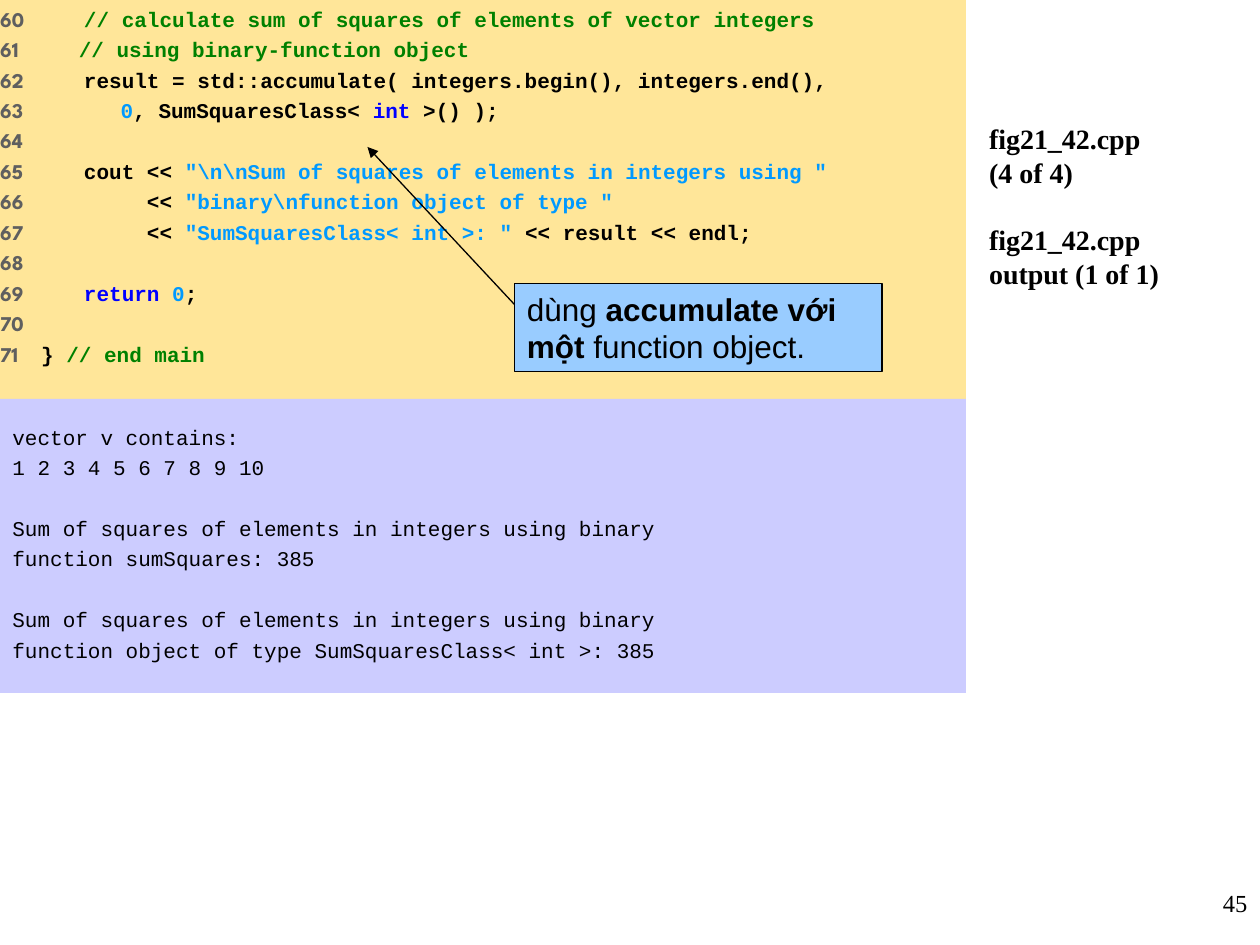
from dataclasses import dataclass

from lxml import etree
from pptx import Presentation
from pptx import util as u
from pptx.dml import color
from pptx.enum import shapes, text
from pptx.oxml import ns


@dataclass(frozen=True)
class Theme:
    """Colours, fonts and type sizes of the slide."""
    black: str = "000000"
    number: str = "5F5F5F"
    comment: str = "008000"
    literal: str = "0099FF"
    keyword: str = "0000FF"
    code_fill: str = "FFE699"
    output_fill: str = "CCCCFF"
    callout_fill: str = "99CCFF"
    mono: str = "Courier New"
    number_font: str = "League Spartan"
    serif: str = "Times New Roman"
    sans: str = "Arial"
    code_size: float = 12
    page_size: float = 14
    title_size: float = 16
    callout_size: float = 18
    leading: float = 1.2
    code_gap: float = 3
    line_width: float = 0.75


THEME = Theme()
PANEL_WIDTH = 552
FIRST_NUMBER = 60
CODE_LINES = [
    (48, [("comment", "// calculate sum of squares of elements of vector integers")]),
    (45, [("comment", "// using binary-function object")]),
    (48, [("black", "result = std::accumulate( integers.begin(), integers.end(),")]),
    (69, [("literal", "0"), ("black", ", SumSquaresClass< "),
          ("keyword", "int"), ("black", " >() );")]),
    (48, []),
    (48, [("black", "cout << "),
          ("literal", '"\\n\\nSum of squares of elements in integers using "')]),
    (84, [("black", "<< "), ("literal", '"binary\\nfunction object of type "')]),
    (84, [("black", "<< "), ("literal", '"SumSquaresClass< int >: "'),
          ("black", " << result << endl;")]),
    (48, []),
    (48, [("keyword", "return "), ("literal", "0"), ("black", ";")]),
    (48, []),
    (23.5, [("black", "} "), ("comment", "// end main")]),
]
OUTPUT_BLOCKS = [
    ["vector v contains:", "1 2 3 4 5 6 7 8 9 10"],
    ["Sum of squares of elements in integers using binary",
     "function sumSquares: 385"],
    ["Sum of squares of elements in integers using binary",
     "function object of type SumSquaresClass< int >: 385"],
]
TITLE_BLOCKS = ["fig21_42.cpp\v(4 of 4)", "fig21_42.cpp\voutput (1 of 1)"]


def rgb(value):
    """Turn a hex string into a colour."""
    return color.RGBColor.from_string(value)


def set_frame(frame, insets=(7.2, 3.6, 7.2, 3.6)):
    """Give a text frame top anchoring, wrapping and insets."""
    frame.word_wrap = True
    frame.auto_size = text.MSO_AUTO_SIZE.NONE
    frame.vertical_anchor = text.MSO_ANCHOR.TOP
    (frame.margin_left, frame.margin_top,
     frame.margin_right, frame.margin_bottom) = map(u.Pt, insets)


def add_panel(container, box, fill, line=None):
    """Add a filled rectangle and return it."""
    shape = container.add_shape(shapes.MSO_SHAPE.RECTANGLE, *map(u.Pt, box))
    shape.shadow.inherit = False
    shape.fill.solid()
    shape.fill.fore_color.rgb = rgb(fill)
    if line:
        shape.line.color.rgb = rgb(line)
        shape.line.width = u.Pt(THEME.line_width)
    else:
        shape.line.fill.background()
    return shape


def add_paragraph(frame, size, font, before=0, bold=False, tab=None,
                  align=text.PP_ALIGN.LEFT):
    """Return the next formatted paragraph, reusing the empty first one."""
    first = frame.paragraphs[0]
    paragraph = frame.add_paragraph() if first.runs else first
    paragraph.alignment = align
    paragraph.line_spacing = u.Pt(size * THEME.leading)
    paragraph.space_before = u.Pt(before)
    if tab is not None:
        properties = paragraph._p.get_or_add_pPr()
        tabs = etree.SubElement(properties, ns.qn("a:tabLst"))
        etree.SubElement(tabs, ns.qn("a:tab"), pos=str(u.Pt(tab)), algn="l")
    paragraph.font.size = u.Pt(size)
    paragraph.font.name = font
    paragraph.font.bold = bold
    paragraph.font.color.rgb = rgb(THEME.black)
    return paragraph


def add_run(paragraph, words, font=None, fill=None, bold=None):
    """Add a run with only the formatting that differs from its paragraph."""
    run = paragraph.add_run()
    run.text = words
    if font:
        run.font.name = font
    if fill:
        run.font.color.rgb = rgb(fill)
    if bold is not None:
        run.font.bold = bold


def add_code(slide):
    """Add the numbered and coloured program lines."""
    shape = add_panel(slide.shapes, (0, 0, PANEL_WIDTH, 246), THEME.code_fill)
    set_frame(shape.text_frame, (0, 3.6, 7.2, 3.6))
    for number, (tab, tokens) in enumerate(CODE_LINES, FIRST_NUMBER):
        paragraph = add_paragraph(shape.text_frame, THEME.code_size, THEME.mono,
                                  THEME.code_gap, True, tab)
        label = f"{number}\t" if tokens else str(number)
        add_run(paragraph, label, THEME.number_font, THEME.number)
        for role, words in tokens:
            add_run(paragraph, words, fill=getattr(THEME, role))


def add_output(slide):
    """Add the program output in blocks set one line apart."""
    shape = add_panel(slide.shapes, (0, 228, PANEL_WIDTH, 168), THEME.output_fill)
    set_frame(shape.text_frame, (7.2, 14.4, 7.2, 14.4))
    block_gap = THEME.code_size * THEME.leading + 2 * THEME.code_gap
    for block, lines in enumerate(OUTPUT_BLOCKS):
        for index, words in enumerate(lines):
            before = block_gap if block and not index else THEME.code_gap
            add_run(add_paragraph(shape.text_frame, THEME.code_size,
                                  THEME.mono, before), words)


def add_title(slide):
    """Place the file names in the title placeholder."""
    title = slide.shapes.title
    title.left, title.top, title.width, title.height = map(u.Pt, (558, 66, 162, 432))
    set_frame(title.text_frame)
    for index, words in enumerate(TITLE_BLOCKS):
        before = THEME.title_size * THEME.leading if index else 0
        paragraph = add_paragraph(title.text_frame, THEME.title_size,
                                  THEME.serif, before, True)
        for position, line in enumerate(words.split("\v")):
            if position:
                paragraph.add_line_break()
            add_run(paragraph, line)


def add_page_number(slide):
    """Add the page number at the lower right."""
    box = slide.shapes.add_textbox(*map(u.Pt, (684, 504, 36, 36)))
    set_frame(box.text_frame)
    add_run(add_paragraph(box.text_frame, THEME.page_size, THEME.serif,
                          align=text.PP_ALIGN.RIGHT), "45")


def add_arrow(container, start, end):
    """Add a line with an arrowhead at its end."""
    arrow = container.add_connector(shapes.MSO_CONNECTOR.STRAIGHT,
                                    *map(u.Pt, (*start, *end)))
    arrow.line.color.rgb = rgb(THEME.black)
    arrow.line.width = u.Pt(THEME.line_width)
    etree.SubElement(arrow.line._get_or_add_ln(), ns.qn("a:tailEnd"), type="triangle")
    etree.SubElement(arrow._element.spPr, ns.qn("a:effectLst"))


def add_callout(slide):
    """Add the grouped note and its arrow to the code."""
    group = slide.shapes.add_group_shape()
    note = add_panel(group.shapes, (294, 162, 210, 50.4),
                     THEME.callout_fill, THEME.black)
    set_frame(note.text_frame)
    paragraph = add_paragraph(note.text_frame, THEME.callout_size, THEME.sans)
    add_run(paragraph, "dùng ")
    add_run(paragraph, "accumulate với một ", bold=True)
    add_run(paragraph, "function object.")
    add_arrow(group.shapes, (294, 174), (210, 84))


def main():
    """Build and save the slide."""
    presentation = Presentation()
    presentation.slide_width, presentation.slide_height = u.Pt(720), u.Pt(540)
    slide = presentation.slides.add_slide(presentation.slide_layouts[5])
    for add_part in (add_code, add_page_number, add_title, add_output, add_callout):
        add_part(slide)
    presentation.save("out.pptx")


main()
